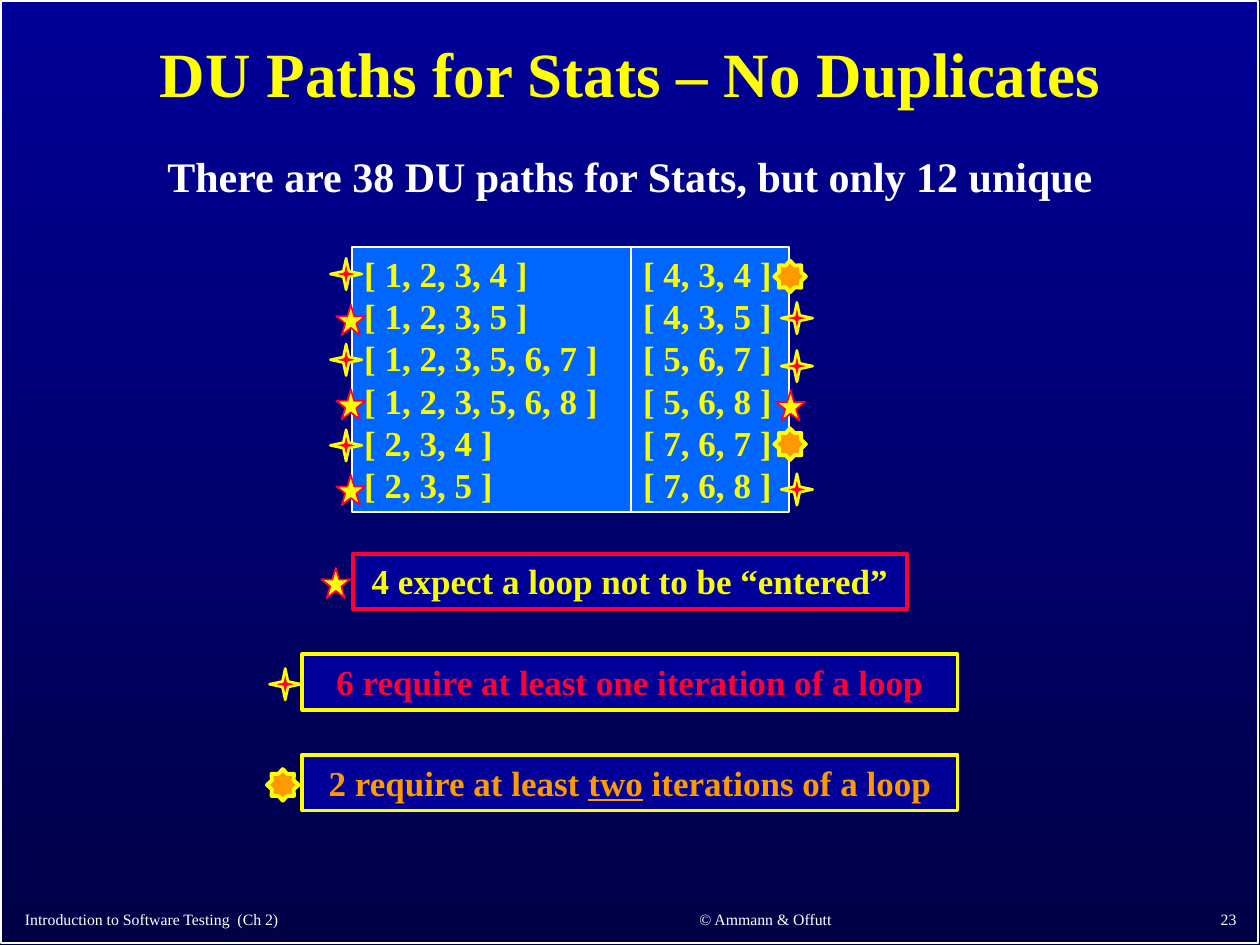
from pptx import Presentation
from pptx.dml.color import RGBColor
from pptx.enum.shapes import MSO_SHAPE as SHAPE
from pptx.enum.text import MSO_ANCHOR as ANCHOR, PP_ALIGN as ALIGN
from pptx.util import Pt

FONT = "Times New Roman"
WHITE = RGBColor(0xFF, 0xFF, 0xFF)
YELLOW = RGBColor(0xFF, 0xFF, 0x00)
LEMON = RGBColor(0xFA, 0xFD, 0x00)
RED = RGBColor(0xFF, 0x00, 0x33)
ORANGE = RGBColor(0xFF, 0x99, 0x00)
BLUE = RGBColor(0x00, 0x66, 0xFF)
NAVY = RGBColor(0x00, 0x00, 0x99)
MIDNIGHT = RGBColor(0x00, 0x00, 0x47)

# Content
TITLE = "DU Paths for Stats – No Duplicates"
SUBTITLE = "There are 38 DU paths for Stats, but only 12 unique"

# Marks: shape, width, height, fill, line, line width
MARKS = {
    "skip": (SHAPE.STAR_5_POINT, 16.6, 17.3, YELLOW, RED, 1),
    "once": (SHAPE.STAR_4_POINT, 18, 18, RED, YELLOW, 1.5),
    "twice": (SHAPE.STAR_8_POINT, 18, 18, ORANGE, YELLOW, 2.25),
}

# Columns: left, width, left edge of each mark, rows of (path, mark, mark top)
COLUMNS = [
    (201, 159.3, {"skip": 192.2, "once": 188.8}, [
        ("[ 1, 2, 3, 4 ]", "once", 147.6),
        ("[ 1, 2, 3, 5 ]", "skip", 174.2),
        ("[ 1, 2, 3, 5, 6, 7 ]", "once", 196.6),
        ("[ 1, 2, 3, 5, 6, 8 ]", "skip", 222.5),
        ("[ 2, 3, 4 ]", "once", 245.5),
        ("[ 2, 3, 5 ]", "skip", 271.4),
    ]),
    (360.4, 90.7, {"skip": 443.5, "once": 446.4, "twice": 442.5}, [
        ("[ 4, 3, 4 ]", "twice", 149),
        ("[ 4, 3, 5 ]", "once", 172.8),
        ("[ 5, 6, 7 ]", "once", 200.2),
        ("[ 5, 6, 8 ]", "skip", 223.2),
        ("[ 7, 6, 7 ]", "twice", 244.8),
        ("[ 7, 6, 8 ]", "once", 270.7),
    ]),
]

# Legend: text pieces (every second one underlined), mark, mark left,
# box width, text colour, border colour
LEGEND = [
    (["4 expect a loop not to be “entered”"], "skip", 183.6, 316.4, LEMON, RED),
    (["6 require at least one iteration of a loop"], "once", 154, 374.4, RED, YELLOW),
    (["2 require at least ", "two", " iterations of a loop"],
     "twice", 152.6, 374.4, ORANGE, YELLOW),
]
LEGEND_TOP, LEGEND_STEP, LEGEND_HEIGHT = 316.4, 57.5, 31.8

# Footers: text, left, top, width, height, alignment
FOOTERS = [
    ("Introduction to Software Testing  (Ch 2)", 7.2, 512.6, 296, 21.6, ALIGN.LEFT),
    ("© Ammann & Offutt", 323.3, 512, 228.2, 22.2, ALIGN.CENTER),
    ("23", 563.8, 511.2, 149.8, 23, ALIGN.RIGHT),
]


def style(tf, size, color, align, bold=True, spacing=None):
    for p in tf.paragraphs:
        p.alignment = align
        if spacing:
            p.line_spacing = spacing
        for r in p.runs:
            r.font.name, r.font.size, r.font.bold = FONT, Pt(size), bold
            r.font.color.rgb = color


def add_text(slide, text, box, size, color, align, anchor, **kwargs):
    tf = slide.shapes.add_textbox(*map(Pt, box)).text_frame
    tf.word_wrap = True
    tf.vertical_anchor = anchor
    tf.text = text
    style(tf, size, color, align, **kwargs)


def add_shape(slide, kind, box, fill, line, width):
    sp = slide.shapes.add_shape(kind, *map(Pt, box))
    sp.shadow.inherit = False
    if fill is None:
        sp.fill.background()
    else:
        sp.fill.solid()
        sp.fill.fore_color.rgb = fill
    sp.line.color.rgb = line
    sp.line.width = Pt(width)
    sp.text_frame.vertical_anchor = ANCHOR.TOP
    return sp


def add_mark(slide, name, left, top):
    kind, width, height, fill, line, weight = MARKS[name]
    add_shape(slide, kind, (left, top, width, height), fill, line, weight)


def main():
    prs = Presentation()
    prs.slide_width, prs.slide_height = Pt(720), Pt(540)
    s = prs.slides.add_slide(prs.slide_layouts[6])

    # Background, frame and footers
    bg = s.background.fill
    bg.gradient()
    bg.gradient_angle = 270
    for stop, color in zip(bg.gradient_stops, (NAVY, MIDNIGHT)):
        stop.color.rgb = color
    add_shape(s, SHAPE.RECTANGLE, (0.7, 0.7, 718, 538), None, WHITE, 1)
    for text, *box, align in FOOTERS:
        add_text(s, text, box, 9, WHITE, align, ANCHOR.BOTTOM, bold=False)

    # Headings
    add_text(s, TITLE, (5.6, 8, 709, 72), 36, YELLOW, ALIGN.CENTER,
             ANCHOR.MIDDLE, spacing=0.9)
    add_text(s, SUBTITLE, (10.8, 85.7, 698.4, 46), 24, WHITE, ALIGN.CENTER,
             ANCHOR.TOP, spacing=0.9)

    # Path columns, then their marks on top
    for left, width, _, rows in COLUMNS:
        sp = add_shape(s, SHAPE.RECTANGLE, (left, 141, width, 151.4), BLUE, WHITE, 1)
        sp.text_frame.text = "\n".join(path for path, _, _ in rows)
        style(sp.text_frame, 20, LEMON, ALIGN.LEFT)
    for _, _, mark_lefts, rows in COLUMNS:
        for _, mark, top in rows:
            add_mark(s, mark, mark_lefts[mark], top)

    # Legend boxes, centred on the slide
    for i, (pieces, mark, mark_left, width, color, border) in enumerate(LEGEND):
        top = LEGEND_TOP + i * LEGEND_STEP
        box = ((720 - width) / 2, top, width, LEGEND_HEIGHT)
        sp = add_shape(s, SHAPE.RECTANGLE, box, NAVY, border, 2.25)
        p = sp.text_frame.paragraphs[0]
        for j, piece in enumerate(pieces):
            r = p.add_run()
            r.text = piece
            r.font.underline = j % 2 == 1
        style(sp.text_frame, 20, color, ALIGN.CENTER)
        add_mark(s, mark, mark_left, top + 8.1)

    prs.save("out.pptx")


if __name__ == "__main__":
    main()
